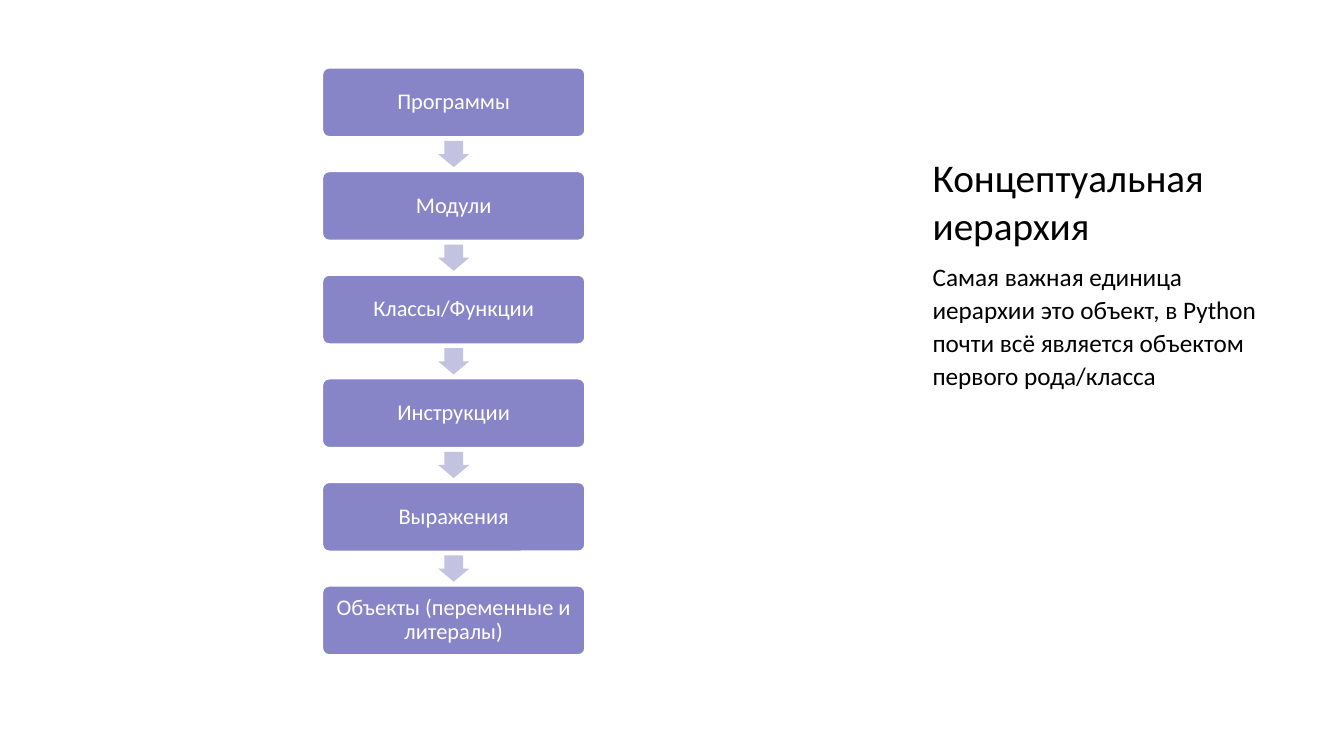
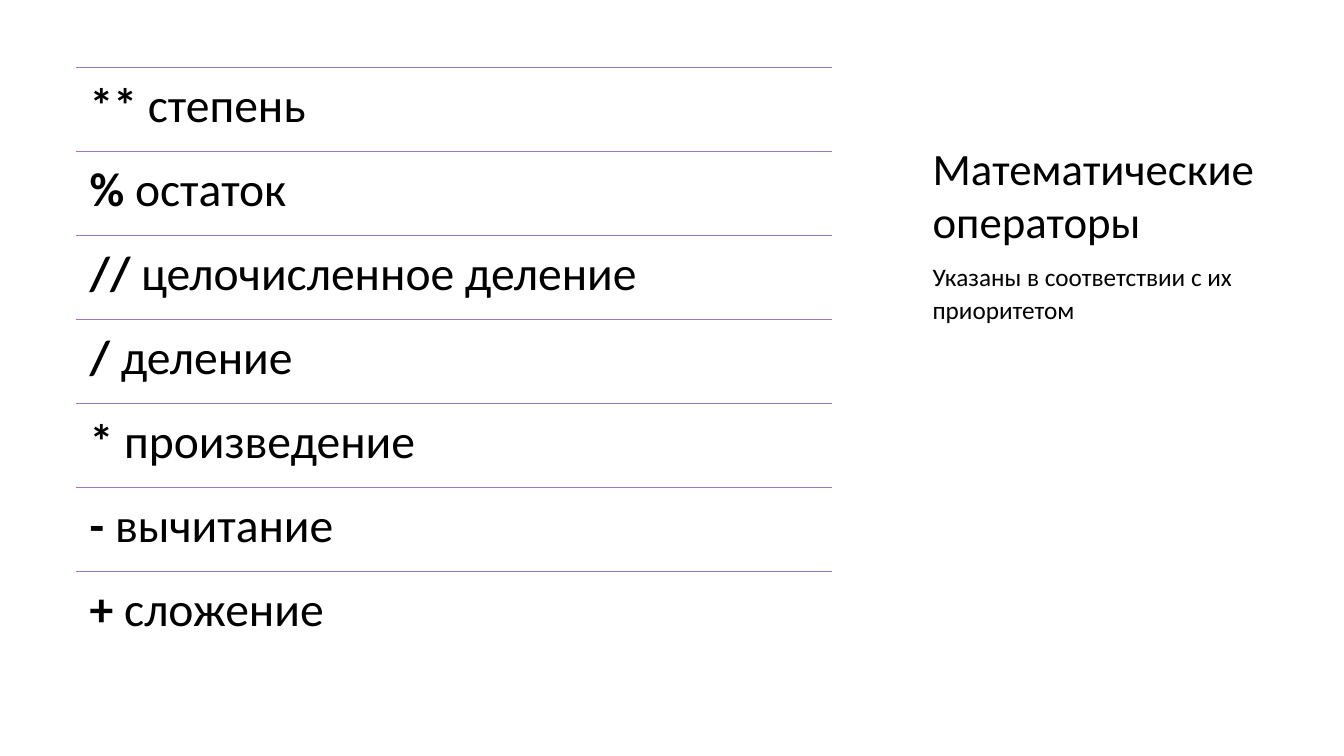
from pptx import Presentation
from pptx.dml.color import RGBColor
from pptx.enum.shapes import MSO_CONNECTOR, MSO_SHAPE
from pptx.enum.text import MSO_ANCHOR, PP_ALIGN
from pptx.oxml.ns import qn
from pptx.util import Inches, Pt
from lxml import etree

FONT = "Calibri"
COLORS = {"text": "000000", "box": "8784C7", "arrow": "C3C2E0",
          "white": "FFFFFF", "rule": "9D78B4"}

HIERARCHY = {
    "title": "Концептуальная иерархия", "size": 28, "width": 3.46,
    "body": "Самая важная единица иерархии это объект, в Python почти всё "
            "является объектом первого рода/класса",
    "items": ["Программы", "Модули", "Классы/Функции", "Инструкции",
              "Выражения", "Объекты (переменные и литералы)"],
}
OPERATORS = {
    "title": "Математические операторы", "size": 32, "width": 3.66,
    "body": "Указаны в соответствии с их приоритетом",
    "items": [("**", "степень"), ("%", "остаток"),
              ("//", "целочисленное деление"), ("/", "деление"),
              ("*", "произведение"), ("-", "вычитание"), ("+", "сложение")],
}

LEFT, WIDTH, TOP, BOTTOM = 0.75, 7.5, 0.67, 6.5
SIDE = 9.25
BOX_W, BOX_H = 2.61, 0.69
ARROW_W, ARROW_H = 0.31, 0.26


def color(name):
    return RGBColor.from_string(COLORS[name])


def frame(sp, inset=0, anchor=MSO_ANCHOR.TOP):
    tf = sp.text_frame
    tf.word_wrap = True
    tf.vertical_anchor = anchor
    tf.margin_left = tf.margin_right = Inches(inset)
    tf.margin_top = tf.margin_bottom = Inches(inset)
    return tf


def write(tf, runs, size, ink="text", spacing=1.0, align=PP_ALIGN.LEFT):
    p = tf.paragraphs[0]
    p.alignment, p.line_spacing = align, spacing
    p.font.name, p.font.size = FONT, Pt(size)
    p.font.color.rgb = color(ink)
    for text, bold in runs:
        r = p.add_run()
        r.text, r.font.bold = text, bold


def add_text(s, x, y, w, h):
    return s.shapes.add_textbox(*map(Inches, (x, y, w, h)))


def add_preset(s, kind, x, y, w, h, fill):
    sp = s.shapes.add_shape(kind, *map(Inches, (x, y, w, h)))
    sp.shadow.inherit = False
    sp.fill.solid()
    sp.fill.fore_color.rgb = color(fill)
    sp.line.fill.background()
    return sp


def add_rule(s, y):
    line = s.shapes.add_connector(
        MSO_CONNECTOR.STRAIGHT, *map(Inches, (LEFT, y, LEFT + WIDTH, y)))
    line.line.color.rgb = color("rule")
    line.line.width = Pt(1)
    etree.SubElement(line._element.spPr, qn("a:effectLst"))


def add_slide(prs, content):
    s = prs.slides.add_slide(prs.slide_layouts[6])
    title = add_text(s, SIDE, 0.66, content["width"], 1.8)
    write(frame(title, anchor=MSO_ANCHOR.BOTTOM),
          [(content["title"], False)], content["size"])
    body = add_text(s, SIDE, 2.56, 3.46, 3.94)
    write(frame(body), [(content["body"], False)], 18, spacing=1.1)
    return s


def add_flow(s, items):
    step = (BOTTOM - TOP - BOX_H) / (len(items) - 1)
    center = LEFT + WIDTH / 2
    for i, text in enumerate(items):
        y = TOP + i * step
        box = add_preset(s, MSO_SHAPE.ROUNDED_RECTANGLE,
                         center - BOX_W / 2, y, BOX_W, BOX_H, "box")
        box.adjustments[0] = 0.1
        box.line.color.rgb = color("white")
        box.line.width = Pt(1.5)
        write(frame(box, 0.08, MSO_ANCHOR.MIDDLE), [(text, False)], 16,
              "white", 0.9, PP_ALIGN.CENTER)
        if i < len(items) - 1:
            arrow_y = y + (BOX_H + step - ARROW_H) / 2
            arrow = add_preset(s, MSO_SHAPE.DOWN_ARROW, center - ARROW_W / 2,
                               arrow_y, ARROW_W, ARROW_H, "arrow")
            arrow.adjustments[0] = 0.6
            arrow.adjustments[1] = 0.5


def add_list(s, items):
    row = (BOTTOM - TOP) / len(items)
    for i, (sign, name) in enumerate(items):
        y = TOP + i * row
        add_rule(s, y)
        write(frame(add_text(s, LEFT, y, WIDTH, row), 0.14),
              [(sign + " ", True), (name, False)], 34, spacing=0.9)


def main():
    prs = Presentation()
    prs.slide_width, prs.slide_height = Inches(13.33), Inches(7.5)
    for content, draw in ((HIERARCHY, add_flow), (OPERATORS, add_list)):
        draw(add_slide(prs, content), content["items"])
    prs.save("out.pptx")


if __name__ == "__main__":
    main()
